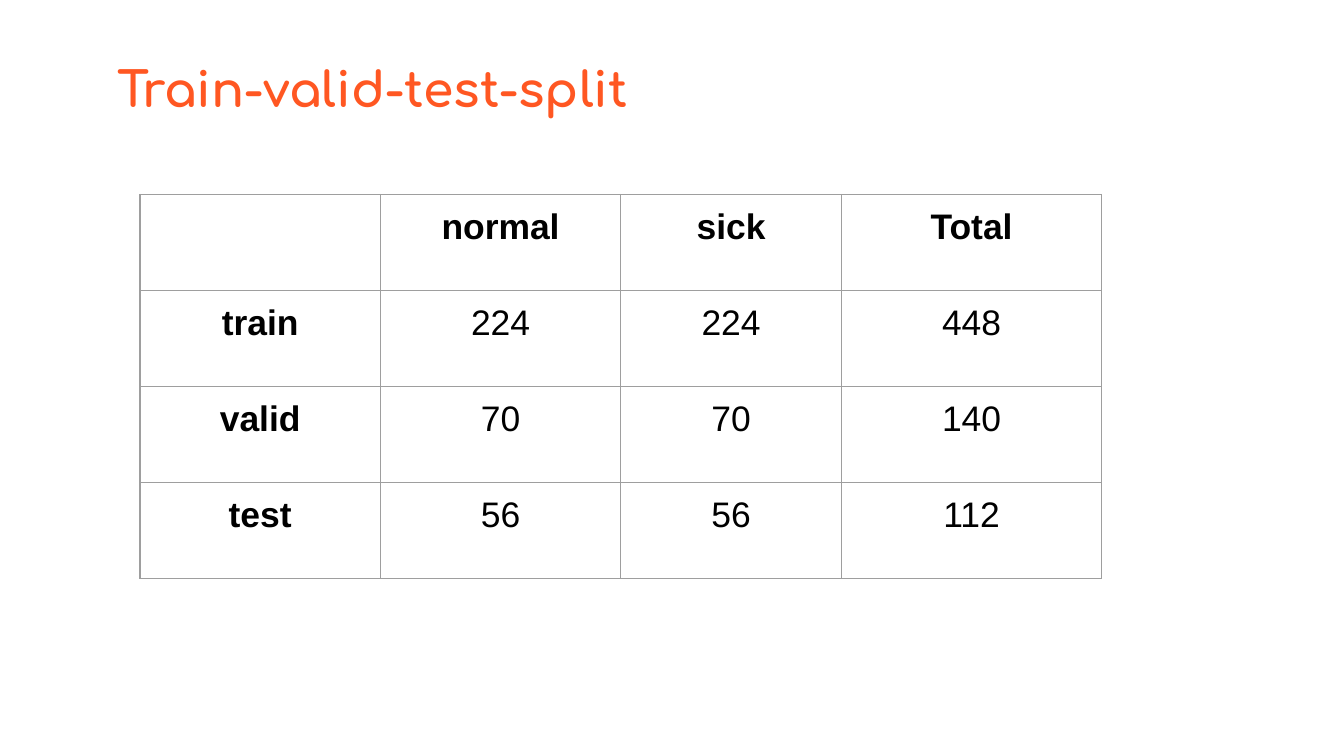
"""Build the slide with the train, valid and test split table."""
import pptx
import pptx.dml.color
import pptx.enum.text
import pptx.oxml
import pptx.oxml.ns
import pptx.util

Pt = pptx.util.Pt
ORANGE = pptx.dml.color.RGBColor(0xFF, 0x57, 0x22)
BLACK = pptx.dml.color.RGBColor(0x00, 0x00, 0x00)
GREY = pptx.dml.color.RGBColor(0x9E, 0x9E, 0x9E)
ALIGN = pptx.enum.text.PP_ALIGN
ANCHOR = pptx.enum.text.MSO_ANCHOR

ROWS = [
    ("", "normal", "sick", "Total"),
    ("train", "224", "224", "448"),
    ("valid", "70", "70", "140"),
    ("test", "56", "56", "112"),
]


def write(tf, text, *, font="Arial", size=19, color=BLACK, bold=False, align=ALIGN.CENTER):
    p = tf.paragraphs[0]
    p.alignment = align
    r = p.add_run()
    r.text = text
    r.font.name = font
    r.font.size = Pt(size)
    r.font.color.rgb = color
    r.font.bold = bold


class Deck:
    margin = Pt(7.2)
    border = Pt(0.75)

    def __init__(self, width, height):
        self.prs = pptx.Presentation()
        self.prs.slide_width = Pt(width)
        self.prs.slide_height = Pt(height)
        self.s = self.prs.slides.add_slide(self.prs.slide_layouts[5])

    def inset(self, box):
        box.margin_left = box.margin_right = self.margin
        box.margin_top = box.margin_bottom = self.margin

    def title(self, text, x, y, w, h):
        sp = self.s.shapes.title
        sp.left, sp.top, sp.width, sp.height = Pt(x), Pt(y), Pt(w), Pt(h)
        tf = sp.text_frame
        tf.word_wrap = True
        tf.auto_size = pptx.enum.text.MSO_AUTO_SIZE.NONE
        tf.vertical_anchor = ANCHOR.MIDDLE
        self.inset(tf)
        write(tf, text, font="Comfortaa", size=26, color=ORANGE, bold=True, align=ALIGN.LEFT)

    def outline(self, cell):
        tcPr = cell._tc.get_or_add_tcPr()
        for side in ("lnL", "lnR", "lnT", "lnB"):
            tcPr.append(pptx.oxml.parse_xml(
                f'<a:{side} {pptx.oxml.ns.nsdecls("a")} w="{self.border}">'
                f'<a:solidFill><a:srgbClr val="{GREY}"/></a:solidFill></a:{side}>'))

    def table(self, rows, x, y, widths, row_height):
        frame = self.s.shapes.add_table(
            len(rows), len(widths), Pt(x), Pt(y), Pt(sum(widths)), Pt(row_height * len(rows)))
        table = frame.table
        table.first_row = table.horz_banding = False
        for column, width in zip(table.columns, widths):
            column.width = Pt(width)
        for i, row in enumerate(rows):
            table.rows[i].height = Pt(row_height)
            for j, text in enumerate(row):
                cell = table.cell(i, j)
                self.outline(cell)
                cell.fill.background()
                cell.vertical_anchor = ANCHOR.TOP
                self.inset(cell)
                if text:
                    write(cell.text_frame, text, bold=i == 0 or j == 0)


def main():
    deck = Deck(720, 405)
    deck.title("Train-valid-test-split", 55.5, 24.5, 327.6, 45.4)
    deck.table(ROWS, 75, 104.2, [128.8, 128.8, 118.2, 139.5], 51.4)
    deck.prs.save("out.pptx")


if __name__ == "__main__":
    main()
